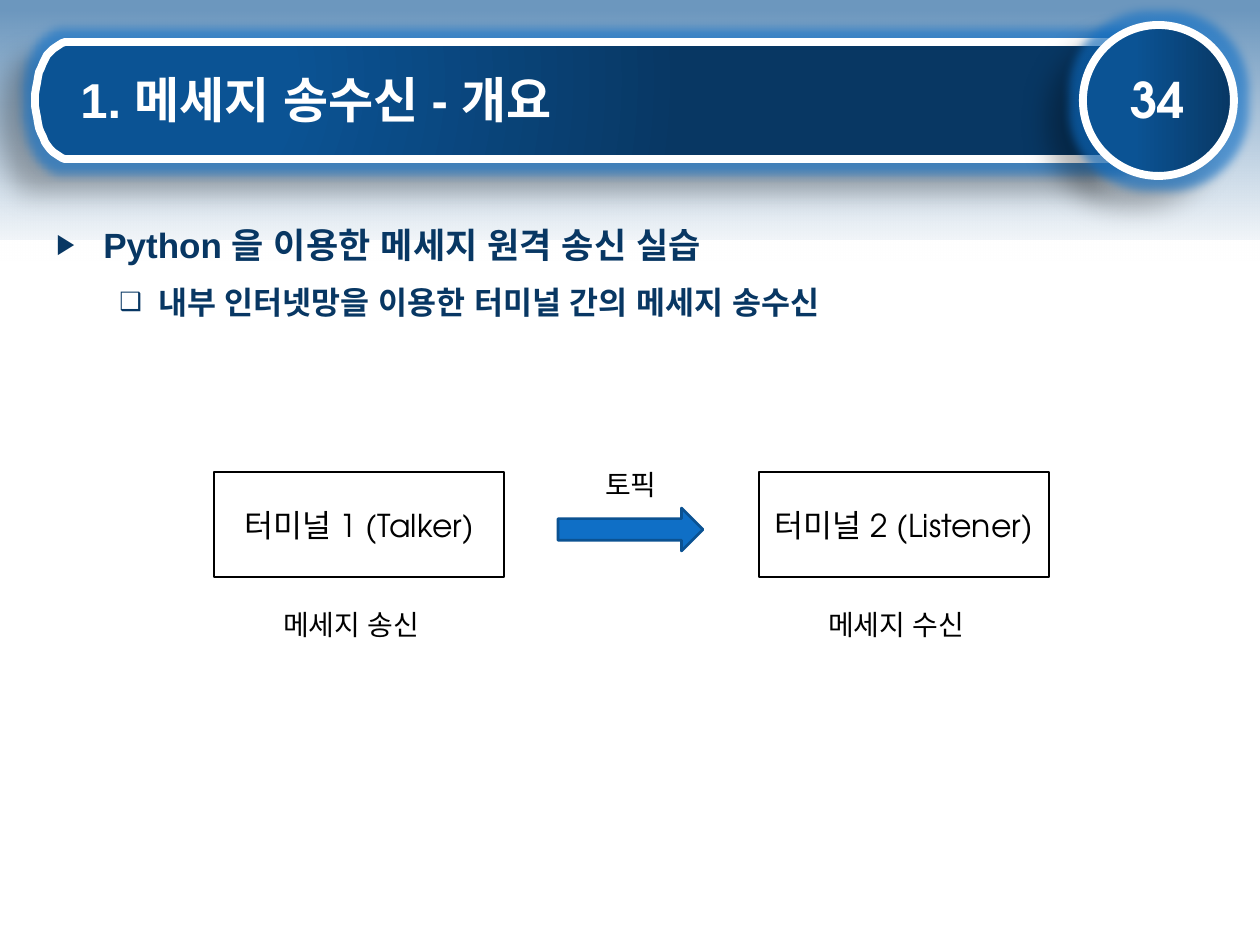
from lxml.etree import SubElement
from pptx import Presentation
from pptx.dml.color import RGBColor
from pptx.enum.shapes import MSO_SHAPE as Shape
from pptx.enum.text import MSO_ANCHOR as Anchor, PP_ALIGN as Align
from pptx.oxml import parse_xml
from pptx.oxml.ns import nsdecls, qn
from pptx.util import Pt

PX = 7257  # EMU in one px, at 126 px to the inch
BLUE, NAVY, WHITE, BLACK = "0B5394", "083763", "FFFFFF", "000000"
SANS, GEOMETRIC = "Arial", "TeX Gyre Adventor"

# Content
TITLE = "1. 메세지 송수신 - 개요"
PAGE_NUMBER = "34"
BULLETS = [  # text, size, bullet, left margin and hanging indent in px
    ("Python 을 이용한 메세지 원격 송신 실습", 20, "▶", 47, 47),
    ("내부 인터넷망을 이용한 터미널 간의 메세지 송수신", 18, "❑", 102, 39),
]
TERMINALS = [("터미널 1 (Talker)", "메세지 송신"), ("터미널 2 (Listener)", "메세지 수신")]
TOPIC = "토픽"

prs = Presentation()
prs.slide_width, prs.slide_height = 1260 * PX, 945 * PX
slide = prs.slides.add_slide(prs.slide_layouts[6])


def emu(*lengths):
    return [length * PX for length in lengths]


def rgb(color):
    return RGBColor.from_string(color)


def paint(shape, fill=None, line=None, width=1.5):
    shape.shadow.inherit = False
    if fill:
        shape.fill.solid()
        shape.fill.fore_color.rgb = rgb(fill)
    else:
        shape.fill.background()
    if line:
        shape.line.color.rgb = rgb(line)
        shape.line.width = Pt(width)
    else:
        shape.line.fill.background()
    return shape


def add_shape(kind, box, *style):
    return paint(slide.shapes.add_shape(kind, *emu(*box)), *style)


def set_gradient(shape, stops, direction):
    """Stops are (position %, colour, opacity %)."""
    marks = "".join(
        f'<a:gs pos="{pos * 1000}"><a:srgbClr val="{color}">'
        f'<a:alpha val="{opacity * 1000}"/></a:srgbClr></a:gs>'
        for pos, color, opacity in stops)
    gradient = parse_xml(f'<a:gradFill {nsdecls("a")} rotWithShape="1">'
                         f'<a:gsLst>{marks}</a:gsLst>{direction}</a:gradFill>')
    props = shape.fill._xPr
    old = props.find(qn("a:solidFill"))
    props.replace(old, gradient)


def add_glow_and_shadow(shape):
    effects = shape._element.spPr.find(qn("a:effectLst"))
    glow = SubElement(effects, qn("a:glow"), rad="139700")
    shadow = SubElement(effects, qn("a:outerShdw"), blurRad="149860",
                        dist="250190", dir="8460000", algn="ctr", rotWithShape="0")
    for effect, color, opacity in ((glow, "0F6FC6", 60), (shadow, BLACK, 28)):
        tint = SubElement(effect, qn("a:srgbClr"), val=color)
        SubElement(tint, qn("a:alpha"), val=str(opacity * 1000))


def add_run(paragraph, text, size, font, color, bold=False):
    run = paragraph.add_run()
    run.text = text
    run.font.size, run.font.name, run.font.bold = Pt(size), font, bold
    run.font.color.rgb = rgb(color)
    SubElement(run.font._element, qn("a:ea"), typeface=font)


def write(shape, text, size, font, color, bold=False, align=Align.CENTER, anchor=Anchor.MIDDLE):
    frame = shape.text_frame
    frame.word_wrap, frame.vertical_anchor = True, anchor
    frame.paragraphs[0].alignment = align
    add_run(frame.paragraphs[0], text, size, font, color, bold)


def add_text(box, *args, **options):
    write(slide.shapes.add_textbox(*emu(*box)), *args, **options)


def curve(p0, p1, p2, p3, steps=16):
    """Points along a cubic Bezier, without its start."""
    for step in range(1, steps + 1):
        t = step / steps
        yield tuple((1 - t) ** 3 * a + 3 * t * (1 - t) ** 2 * b + 3 * t * t * (1 - t) * c + t ** 3 * d
                    for a, b, c, d in zip(p0, p1, p2, p3))


# Sky fading to white
sky = add_shape(Shape.RECTANGLE, (0, 0, 1260, 240), BLUE)
SubElement(sky.fill._xPr.find(qn("a:solidFill"))[0], qn("a:alpha"), val="60000")
fade = add_shape(Shape.RECTANGLE, (0, 10, 1260, 251), WHITE)
set_gradient(fade, [(0, WHITE, 0), (100, WHITE, 100)], '<a:lin ang="5400000" scaled="0"/>')

# Title banner with a rounded left end
left, shoulder, right, top, middle, bottom = 35, 69, 1115, 42, 100, 159
outline = [
    *curve((shoulder, top), (50, top), (left, 68), (left, middle)),
    *curve((left, middle), (left, 132), (50, bottom), (shoulder, bottom)),
    (right, bottom), (right, top),
]
builder = slide.shapes.build_freeform(shoulder, top, scale=PX)
builder.add_line_segments(outline, close=True)
banner = paint(builder.convert_to_shape(), BLUE, WHITE, 4.5)
set_gradient(banner, [(26, BLUE, 100), (100, NAVY, 100)],
             '<a:path path="circle"><a:fillToRect l="45000" t="65000" r="125000" b="100000"/></a:path>')

# Page number badge
badge = add_shape(Shape.FLOWCHART_CONNECTOR, (1083, 25, 151, 151), BLUE, WHITE, 4.5)
set_gradient(badge, [(34, BLUE, 100), (100, NAVY, 100)], '<a:lin ang="0" scaled="0"/>')
for part in (banner, badge):
    add_glow_and_shadow(part)

# Bullets
body = slide.shapes.add_textbox(*emu(44, 217, 1172, 646)).text_frame
body.word_wrap = True
for index, (text, size, bullet, margin, hanging) in enumerate(BULLETS):
    paragraph = body.paragraphs[0] if index == 0 else body.add_paragraph()
    if index:
        paragraph.space_before = Pt(10)
    props = paragraph._p.get_or_add_pPr()
    props.set("marL", str(margin * PX))
    props.set("indent", str(-hanging * PX))
    SubElement(SubElement(props, qn("a:buClr")), qn("a:srgbClr"), val=NAVY)
    SubElement(props, qn("a:buSzPct"), val="80000")
    SubElement(props, qn("a:buFont"), typeface=SANS)
    SubElement(props, qn("a:buChar"), char=bullet)
    add_run(paragraph, text, size, SANS, NAVY, True)

# Header text
add_text((1090, 26, 136, 146), PAGE_NUMBER, 28, GEOMETRIC, WHITE, True)
add_text((68, 45, 980, 107), TITLE, 28, SANS, WHITE, True, align=Align.LEFT)

# Terminals, with the topic passing between them
for index, (terminal, role) in enumerate(TERMINALS):
    x = 214 + index * 545
    box = add_shape(Shape.RECTANGLE, (x, 472, 290, 105), None, BLACK)
    write(box, terminal, 18, GEOMETRIC, BLACK)
    add_text((x + 57, 601, 176, 47), role, 16, SANS, BLACK, align=Align.LEFT, anchor=Anchor.TOP)
add_shape(Shape.RIGHT_ARROW, (558, 508, 145, 43), "0F6FC6", "0B5292")
add_text((543, 461, 176, 47), TOPIC, 16, SANS, BLACK, anchor=Anchor.TOP)

prs.save("out.pptx")
